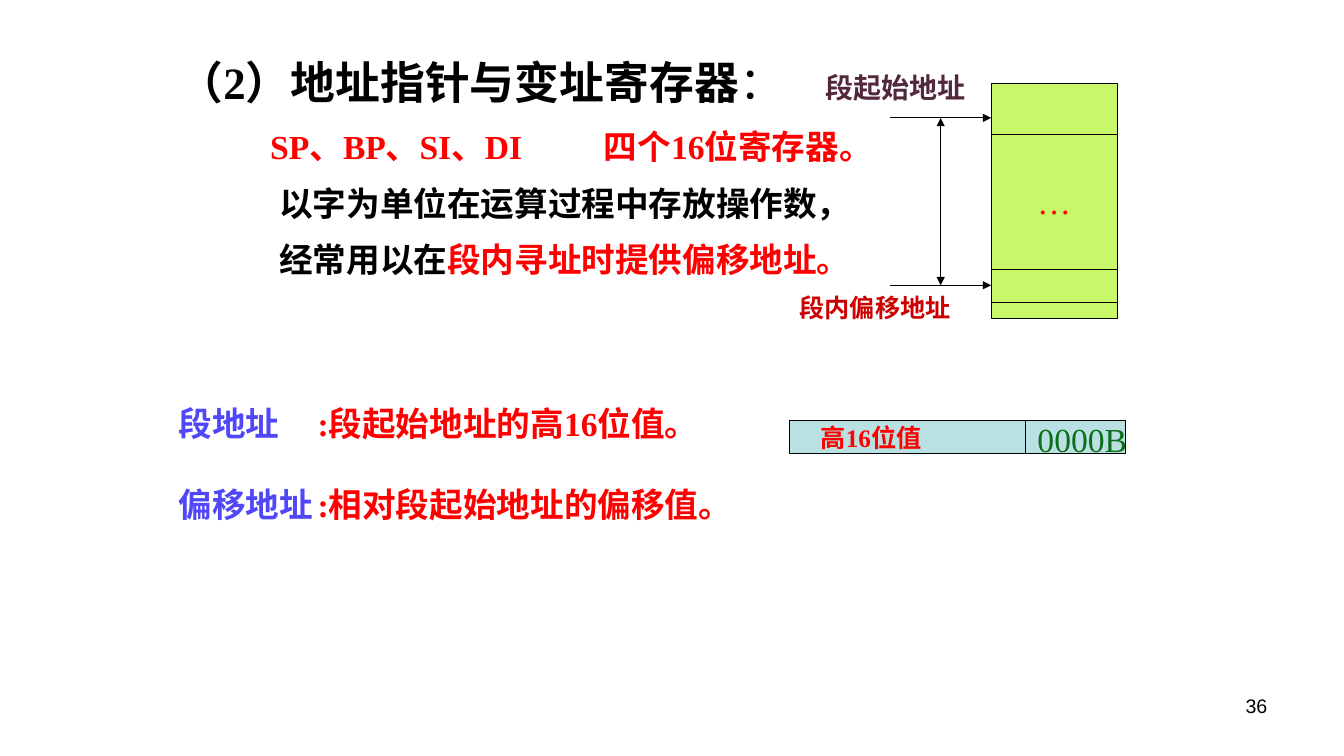
from lxml.etree import SubElement
from pptx import Presentation
from pptx.dml.color import RGBColor
from pptx.enum.shapes import MSO_CONNECTOR as Connector, MSO_SHAPE as Shape
from pptx.enum.text import MSO_ANCHOR as Anchor, PP_ALIGN as Align
from pptx.oxml.ns import qn
from pptx.util import Inches, Pt

COLORS = {
    "black": "000000", "red": "FF0000", "dark_red": "CC0000",
    "plum": "52283D", "violet": "5048F8", "green": "0B6F19",
    "lime": "C8F769", "pale_blue": "BBE0E3", "white": "FFFFFF",
}


def color(name):
    return RGBColor.from_string(COLORS[name])


def write(shape, runs, size=24, bold=True, font="Times New Roman",
          align=Align.LEFT, margin_left=0):
    """Fill a shape with one line of (text, colour, overrides) runs."""
    frame = shape.text_frame
    settings = {
        "word_wrap": False, "vertical_anchor": Anchor.MIDDLE,
        "margin_left": Inches(margin_left), "margin_right": 0,
        "margin_top": 0, "margin_bottom": 0,
    }
    for name, value in settings.items():
        setattr(frame, name, value)
    paragraph = frame.paragraphs[0]
    paragraph.alignment = align
    for text, color_name, *overrides in runs:
        run = paragraph.add_run()
        run.text = text
        formats = {"size": Pt(size), "bold": bold, "name": font}
        for override in overrides:
            formats.update(override)
        for name, value in formats.items():
            setattr(run.font, name, value)
        run.font.color.rgb = color(color_name)


def add_line_of_text(slide, left, middle, width, runs, **formats):
    """Place one line of text, centred vertically on middle."""
    height = 0.5
    box = slide.shapes.add_textbox(Inches(left), Inches(middle - height / 2),
                                   Inches(width), Inches(height))
    write(box, runs, **formats)
    box.text_frame.word_wrap = True


def add_block(slide, left, top, width, height, fill):
    block = slide.shapes.add_shape(Shape.RECTANGLE, Inches(left), Inches(top),
                                   Inches(width), Inches(height))
    block.shadow.inherit = False
    block.fill.solid()
    block.fill.fore_color.rgb = color(fill)
    block.line.color.rgb = color("black")
    block.line.width = Pt(0.75)
    return block


def add_line(slide, start, end, arrows=()):
    """Draw a line; arrows names the ends (headEnd, tailEnd) with a triangle."""
    points = [Inches(value) for value in (*start, *end)]
    line = slide.shapes.add_connector(Connector.STRAIGHT, *points)
    line.line.color.rgb = color("black")
    line.line.width = Pt(0.75)
    outline = line.line._get_or_add_ln()
    for arrow in arrows:
        SubElement(outline, qn(f"a:{arrow}"), type="triangle")
    SubElement(line._element.spPr, qn("a:effectLst"))


def add_register_text(slide, left, top):
    add_line_of_text(slide, left, top + 0.31, 6.3, [
        ("（2）地址指针与变址寄存器", "black"),
        ("：", "black", {"bold": False})], size=32)
    rows = [
        (0.91, 3.2, [("SP、BP、SI、DI", "red")]),
        (1, 6.2, [("以字为单位在运算过程中存放操作数，", "black")]),
        (1, 6.2, [("经常用以在", "black"), ("段内寻址时提供偏移地址。", "red")]),
    ]
    first_row, pitch = top + 0.95, 0.56
    for index, (indent, width, runs) in enumerate(rows):
        add_line_of_text(slide, left + indent, first_row + index * pitch, width, runs)
    add_line_of_text(slide, left + 4.22, first_row, 3.2, [("四个16位寄存器。", "red")])


def add_segment_diagram(slide, left, top, width, height):
    memory = add_block(slide, left, top, width, height, "lime")
    write(memory, [("…", "red")], bold=False, align=Align.CENTER)
    for offset in (0.5, 1.84, 2.17):
        add_line(slide, (left, top + offset), (left + width, top + offset))
    start, target = top + 0.34, top + 2
    for level in (start, target):
        add_line(slide, (left - 1, level), (left, level), ["tailEnd"])
    add_line(slide, (left - 0.5, start), (left - 0.5, target), ["headEnd", "tailEnd"])
    add_line_of_text(slide, left - 1.64, top + 0.04, 1.5,
                     [("段起始地址", "plum")], size=20)
    add_line_of_text(slide, left - 1.9, top + 2.22, 1.7,
                     [("段内偏移地址", "dark_red")], size=18)


def add_definitions(slide, left, top):
    definitions = [("段地址", ":段起始地址的高16位值。"),
                   ("偏移地址", ":相对段起始地址的偏移值。")]
    for index, (term, meaning) in enumerate(definitions):
        middle = top + index * 0.8
        add_line_of_text(slide, left, middle, 1.36, [(term, "violet")])
        add_line_of_text(slide, left + 1.38, middle, 4.4, [(meaning, "red")])


def add_address_bar(slide, left, top, width, height):
    bar = add_block(slide, left, top, width, height, "pale_blue")
    write(bar, [("高16位值", "red")], size=18, margin_left=0.31)
    divider = left + 2.34
    add_line(slide, (divider, top), (divider, top + height))
    add_line_of_text(slide, divider + 0.12, top + height / 2 + 0.02, 1,
                     [("0000B", "green")], bold=False)


def main():
    presentation = Presentation()
    presentation.slide_width = Inches(13.33)
    presentation.slide_height = Inches(7.5)
    slide = presentation.slides.add_slide(presentation.slide_layouts[6])
    slide.background.fill.solid()
    slide.background.fill.fore_color.rgb = color("white")
    add_register_text(slide, 1.77, 0.5)
    add_segment_diagram(slide, 9.83, 0.83, 1.25, 2.33)
    add_definitions(slide, 1.77, 4.2)
    add_address_bar(slide, 7.83, 4.17, 3.33, 0.33)
    add_line_of_text(slide, 9.56, 7, 3.01, [("36", "black")], size=14,
                     bold=False, font="Arial", align=Align.RIGHT)
    presentation.save("out.pptx")


if __name__ == "__main__":
    main()
